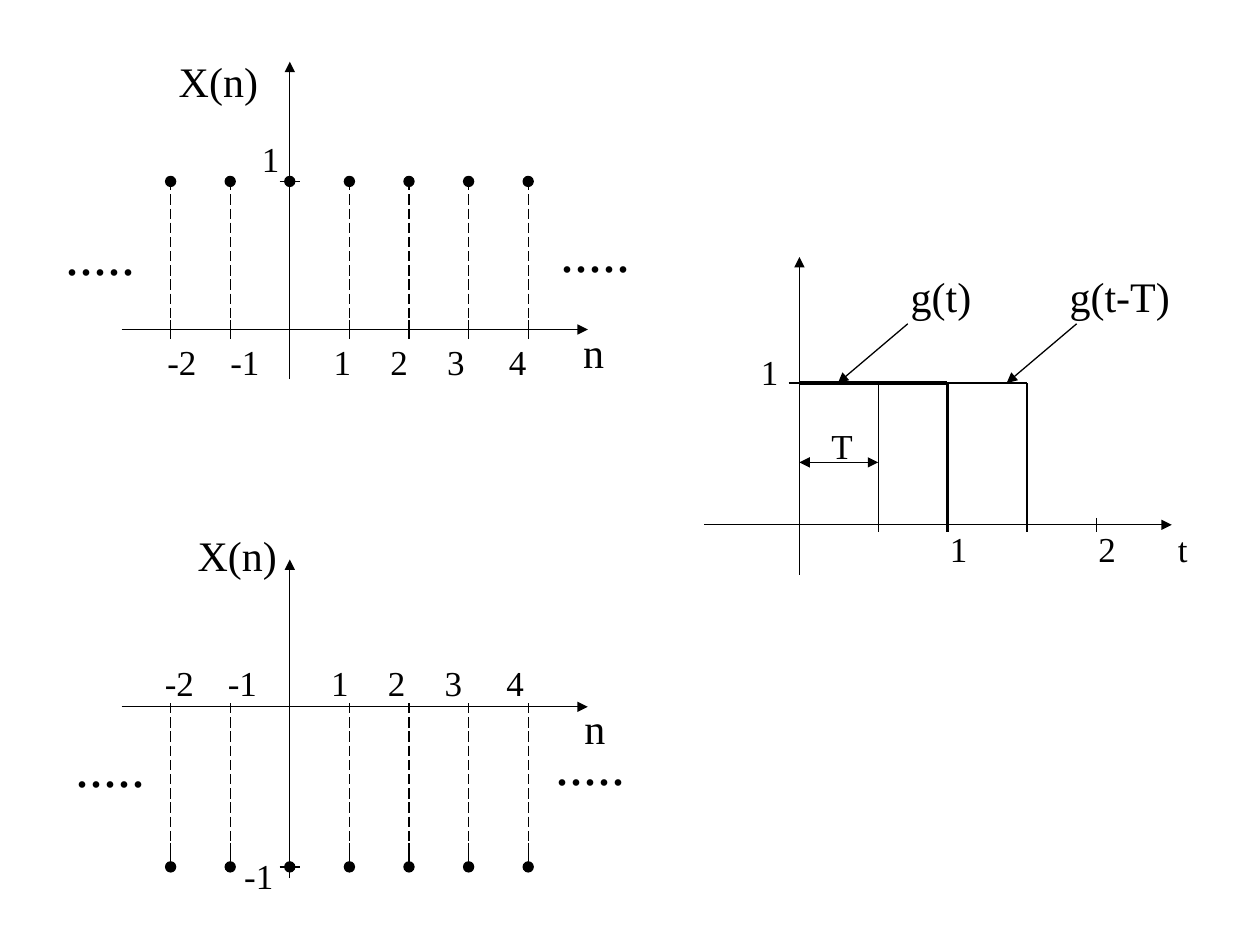
from dataclasses import dataclass

from lxml import etree
from pptx import Presentation
from pptx.dml.color import RGBColor
from pptx.enum.dml import MSO_LINE
from pptx.enum.shapes import MSO_CONNECTOR, MSO_SHAPE
from pptx.oxml.ns import qn
from pptx.util import Inches, Pt

STRAIGHT = MSO_CONNECTOR.STRAIGHT
OVAL = MSO_SHAPE.OVAL
LONG_DASH = MSO_LINE.LONG_DASH
COLUMNS, ROWS = 100, 75


@dataclass(frozen=True)
class Theme:
    ink: RGBColor = RGBColor(0, 0, 0)
    font: str = "Times New Roman"
    number: int = 20
    name: int = 24
    ellipsis: int = 32
    thin: float = 0.75
    thick: float = 2.25
    dot: float = 0.8


@dataclass(frozen=True)
class StemPlot:
    top: float
    bottom: float
    axis: float
    level: float
    stem_top: float
    tick_top: float
    numbers_top: float
    numbers_shift: float
    level_label: tuple
    title: tuple
    variable: tuple
    ellipses: tuple


class Sketch:
    def __init__(self, deck, theme):
        self.theme = theme
        self.slide = deck.slides.add_slide(deck.slide_layouts[6])
        self.column = deck.slide_width / COLUMNS
        self.row = deck.slide_height / ROWS

    def place(self, x, y):
        return round(x * self.column), round(y * self.row)

    def line(self, start, end, width=None, dash=None, arrows=()):
        connector = self.slide.shapes.add_connector(
            STRAIGHT, *self.place(*start), *self.place(*end))
        connector.line.color.rgb = self.theme.ink
        connector.line.width = Pt(width or self.theme.thin)
        if dash:
            connector.line.dash_style = dash
        outline = connector.line._get_or_add_ln()
        for end_name in arrows:
            etree.SubElement(outline, qn(f"a:{end_name}"), type="triangle")
        etree.SubElement(connector._element.spPr, qn("a:effectLst"))

    def arrow(self, start, end):
        self.line(start, end, arrows=("tailEnd",))

    def dot(self, x, y):
        size = self.theme.dot
        point = self.slide.shapes.add_shape(
            OVAL, *self.place(x - size / 2, y - size / 2), *self.place(size, size))
        point.shadow.inherit = False
        point.fill.solid()
        point.fill.fore_color.rgb = self.theme.ink
        point.line.color.rgb = self.theme.ink
        point.line.width = Pt(self.theme.thin)

    def label(self, text, corner, size, width=4.7):
        height = size / 6 + 1.05
        box = self.slide.shapes.add_textbox(
            *self.place(*corner), *self.place(width, height))
        box.text_frame.word_wrap = True
        paragraph = box.text_frame.paragraphs[0]
        paragraph.text = text
        paragraph.font.size = Pt(size)
        paragraph.font.name = self.theme.font
        paragraph.font.color.rgb = self.theme.ink

    def stem_plot(self, plot):
        theme = self.theme
        origin, step = 23, 4.73
        number_lefts = {-2: 12.3, -1: 17.3, 1: 25.5, 2: 30, 3: 34.5, 4: 39.4}
        self.arrow((origin, plot.bottom), (origin, plot.top))
        self.arrow((9.65, plot.axis), (46.65, plot.axis))
        self.line((origin - 0.8, plot.level), (origin + 0.8, plot.level))
        self.dot(origin, plot.level)
        for n, left in number_lefts.items():
            x = origin + n * step
            self.line((x, plot.tick_top), (x, plot.tick_top + 1.5))
            self.line((x, plot.stem_top), (x, plot.stem_top + 11.8), dash=LONG_DASH)
            self.dot(x, plot.level)
            self.label(str(n), (left - plot.numbers_shift, plot.numbers_top), theme.number)
        level_text, level_corner = plot.level_label
        self.label(level_text, level_corner, theme.number)
        self.label("X(n)", plot.title, theme.name, 9)
        self.label("n", plot.variable, theme.name, 4)
        for corner in plot.ellipses:
            self.label(".....", corner, theme.ellipsis, 12.9)

    def pulse_plot(self):
        theme = self.theme
        origin, axis, level, foot = 63.45, 41.65, 30.4, 42.2
        shift, one, shifted_end, two = 69.7, 75.2, 81.5, 87
        self.arrow((origin, 45.6), (origin, 20.4))
        self.arrow((55.9, axis), (93, axis))
        self.line((two, 41.1), (two, foot))
        self.line((62.6, level), (64.2, level))
        self.line((one, level), (one, foot), theme.thick)
        self.line((origin, level), (one, level), theme.thick)
        self.line((shift, level), (shifted_end, level))
        for x in (shift, shifted_end):
            self.line((x, level), (x, foot))
        self.line((origin, 36.7), (shift, 36.7), arrows=("headEnd", "tailEnd"))
        for text, corner in (("1", (74.4, 41.4)), ("2", (86.2, 41.4)), ("t", (92.5, 41.4)),
                             ("1", (59.4, 27.3)), ("T", (65, 33.2))):
            self.label(text, corner, theme.number)
        for text, left, width, tip in (("g(t)", 71.3, 8.7, 66.5), ("g(t-T)", 83.9, 11, 79.9)):
            self.label(text, (left, 21), theme.name, width)
            self.arrow((tip + 5.55, 25.7), (tip, level))


def main():
    deck = Presentation()
    deck.slide_width, deck.slide_height = Inches(10), Inches(7.5)
    sketch = Sketch(deck, Theme())
    sketch.stem_plot(StemPlot(
        top=4.9, bottom=30.1, axis=26.15, level=14.4, stem_top=14.3, tick_top=25.4,
        numbers_top=26.5, numbers_shift=0, level_label=("1", (19.8, 10.4)),
        title=(13.2, 3.9), variable=(45.3, 25.4), ellipses=((4.2, 16.9), (43.5, 16.7))))
    sketch.stem_plot(StemPlot(
        top=44.4, bottom=69.7, axis=56.1, level=68.8, stem_top=55.8, tick_top=66.9,
        numbers_top=52, numbers_shift=0.2, level_label=("-1", (18.4, 67.3)),
        title=(14.7, 41.5), variable=(45.4, 55.3), ellipses=((5, 57.6), (43.1, 57.4))))
    sketch.pulse_plot()
    deck.save("out.pptx")


if __name__ == "__main__":
    main()
